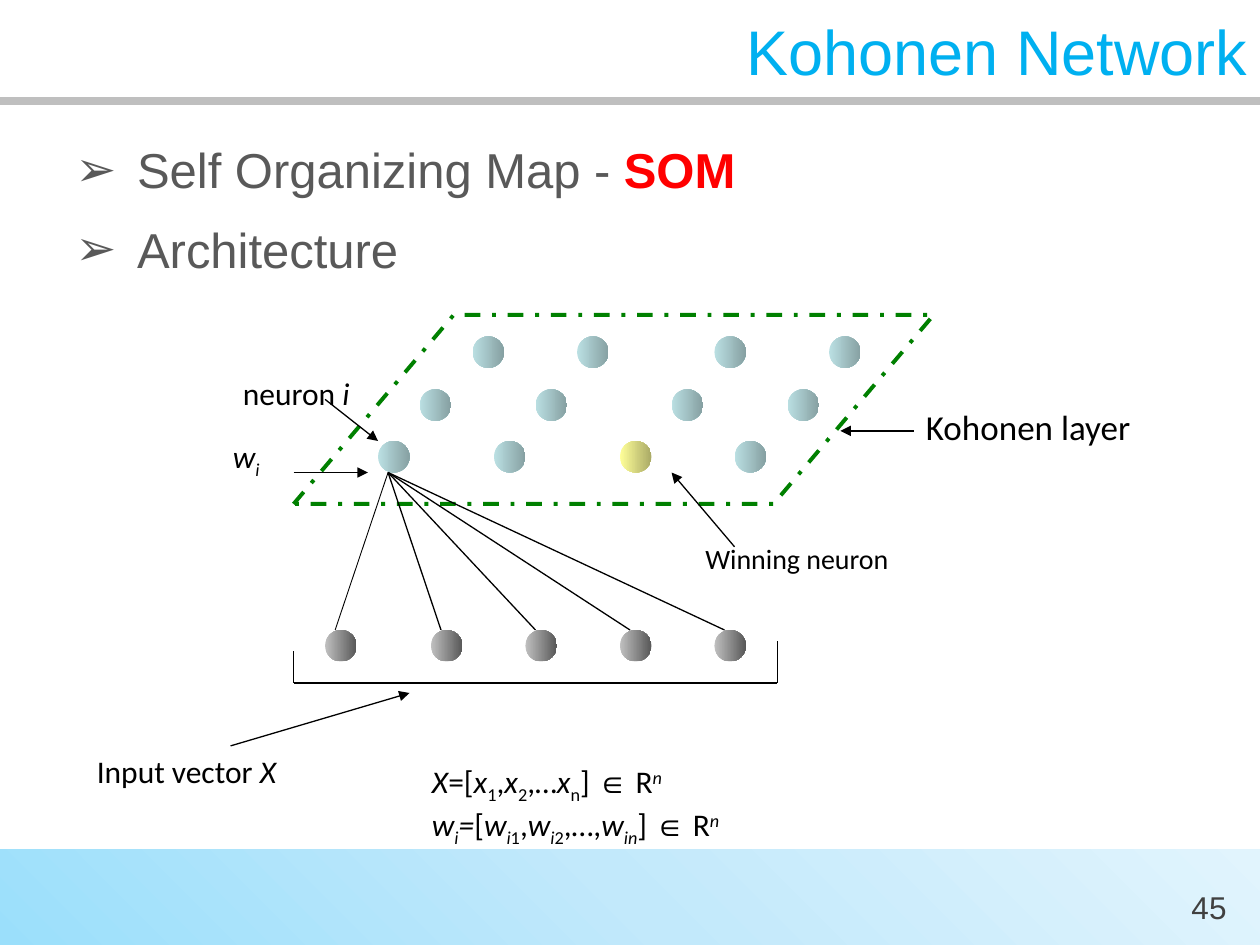
"""Build the Kohonen network architecture slide."""
from copy import deepcopy
from dataclasses import dataclass

from lxml.etree import SubElement
from pptx import Presentation
from pptx.dml.color import RGBColor
from pptx.enum.dml import MSO_LINE
from pptx.enum.shapes import MSO_CONNECTOR as Connector, MSO_SHAPE as Preset
from pptx.enum.text import MSO_ANCHOR as Anchor, PP_ALIGN as Align
from pptx.oxml.ns import qn
from pptx.util import Inches, Pt

BLACK = RGBColor(0x00, 0x00, 0x00)
TITLE_BLUE = RGBColor(0x00, 0xB0, 0xF0)
BODY_GRAY = RGBColor(0x59, 0x59, 0x59)
NUMBER_GRAY = RGBColor(0x40, 0x40, 0x40)
RULE_GRAY = RGBColor(0xBF, 0xBF, 0xBF)
RED = RGBColor(0xFF, 0x00, 0x00)
GREEN = RGBColor(0x00, 0x80, 0x00)
BAND = (RGBColor(0x9B, 0xDF, 0xFB), RGBColor(0xC2, 0xE9, 0xFB), RGBColor(0xE1, 0xF4, 0xFD))
INPUT = (RGBColor(0xC0, 0xC0, 0xC0), RGBColor(0x58, 0x58, 0x58))
NEURON = (RGBColor(0xBB, 0xE0, 0xE3), RGBColor(0x86, 0xA0, 0xA2))
WINNER = (RGBColor(0xFF, 0xFF, 0x99), RGBColor(0xAA, 0xAA, 0x66))
SUB, SUPER = -25000, 30000
DIAMETER = 0.25


@dataclass(frozen=True)
class Span:
    text: str
    italic: bool = False
    base: int = 0
    font: str = "Calibri"
    color: RGBColor = BLACK
    bold: bool = False


@dataclass(frozen=True)
class Label:
    left: float
    top: float
    width: float
    height: float
    size: int
    lines: tuple[tuple[Span, ...], ...]


@dataclass(frozen=True)
class Line:
    start: tuple[float, float]
    end: tuple[float, float]
    arrow: bool = False
    weight: float = 0.75
    color: RGBColor = BLACK


def fill_gradient(shape, colors: tuple[RGBColor, ...], angle: float) -> None:
    shape.fill.gradient()
    shape.fill.gradient_angle = angle
    stop_list = shape._element.spPr.find(qn("a:gradFill")).find(qn("a:gsLst"))
    while len(stop_list) < len(colors):
        stop_list.append(deepcopy(stop_list[0]))
    for index, (stop, color) in enumerate(zip(shape.fill.gradient_stops, colors)):
        stop.color.rgb = color
        stop.position = index / (len(colors) - 1)


def add_gradient_shape(page, preset, left: float, top: float, width: float, height: float,
                       colors: tuple[RGBColor, ...], angle: float = 0):
    shape = page.shapes.add_shape(preset, Inches(left), Inches(top), Inches(width), Inches(height))
    shape.shadow.inherit = False
    shape.line.fill.background()
    fill_gradient(shape, colors, angle)
    return shape


def add_ball(page, left: float, top: float, colors: tuple[RGBColor, ...]) -> None:
    add_gradient_shape(page, Preset.OVAL, left, top, DIAMETER, DIAMETER, colors)


def add_line(page, line: Line) -> None:
    connector = page.shapes.add_connector(Connector.STRAIGHT, *map(Inches, line.start + line.end))
    connector.line.color.rgb = line.color
    connector.line.width = Pt(line.weight)
    if line.arrow:
        SubElement(connector.line._get_or_add_ln(), qn("a:tailEnd"), type="triangle")
    SubElement(connector._element.spPr, qn("a:effectLst"))


def add_label(page, label: Label):
    box = page.shapes.add_textbox(*map(Inches, (label.left, label.top, label.width, label.height)))
    frame = box.text_frame
    frame.word_wrap = True
    for index, spans in enumerate(label.lines):
        para = frame.add_paragraph() if index else frame.paragraphs[0]
        for span in spans:
            run = para.add_run()
            run.text = span.text
            run.font.name = span.font
            run.font.size = Pt(label.size)
            run.font.italic = span.italic
            run.font.bold = span.bold
            run.font.color.rgb = span.color
            if span.base:
                run.font._element.set("baseline", str(span.base))
    return box


def add_bullets(box) -> None:
    indent = Inches(0.49)
    for para in box.text_frame.paragraphs:
        para.space_before = Pt(12)
        properties = para._p.get_or_add_pPr()
        properties.set("marL", str(indent))
        properties.set("indent", str(-indent))
        SubElement(properties, qn("a:buFont"), typeface="Arial")
        SubElement(properties, qn("a:buChar"), char="➢")


def set_title(page, text: str) -> None:
    title = page.shapes.title
    title.left, title.top, title.width, title.height = map(Inches, (0, 0, 10, 0.8))
    title.text_frame.text = text
    title.text_frame.vertical_anchor = Anchor.MIDDLE
    para = title.text_frame.paragraphs[0]
    para.alignment = Align.RIGHT
    font = para.runs[0].font
    font.name, font.size, font.color.rgb = "Arial", Pt(36), TITLE_BLUE


def draw_frame(page) -> None:
    add_gradient_shape(page, Preset.RECTANGLE, 0, 6.74, 10, 0.76, BAND, 45)
    add_line(page, Line((0, 0.8), (10, 0.8), weight=4.5, color=RULE_GRAY))
    number = add_label(page, Label(9.19, 6.89, 0.81, 0.61, 18,
                                   ((Span("45", font="Arial", color=NUMBER_GRAY),),)))
    number.text_frame.vertical_anchor = Anchor.MIDDLE
    number.text_frame.paragraphs[0].alignment = Align.CENTER
    set_title(page, "Kohonen Network")
    body = Label(0.5, 1.06, 9, 5.68, 28, (
        (Span("Self Organizing Map - ", font="Arial", color=BODY_GRAY),
         Span("SOM", font="Arial", color=RED, bold=True)),
        (Span("Architecture", font="Arial", color=BODY_GRAY),)))
    add_bullets(add_label(page, body))


def draw_network(page) -> None:
    layer = page.shapes.add_shape(Preset.PARALLELOGRAM, *map(Inches, (2.33, 2.5, 5.08, 1.5)))
    layer.adjustments[0] = 0.847
    layer.shadow.inherit = False
    layer.fill.background()
    layer.line.color.rgb = GREEN
    layer.line.width = Pt(2.25)
    layer.line.dash_style = MSO_LINE.DASH_DOT

    rows = {2.67: (3.75, 4.58, 5.67, 6.58),
            3.09: (3.33, 4.25, 5.33, 6.25),
            3.5: (3, 3.92, 4.92, 5.83)}
    winner = (4.92, 3.5)
    for top, lefts in rows.items():
        for left in lefts:
            add_ball(page, left, top, WINNER if (left, top) == winner else NEURON)

    for left in (2.58, 3.42, 4.17, 4.92, 5.67):
        add_ball(page, left, 5, INPUT)
        weight = 0.5 if left == 2.58 else 0.75
        add_line(page, Line((left + 0.08, 5), (3.08, 3.75), weight=weight))

    for line in (Line((2.33, 5.42), (6.17, 5.42)),
                 Line((2.33, 5.42), (2.33, 5.17)),
                 Line((6.17, 5.42), (6.17, 5.09)),
                 Line((5.83, 4.34), (5.33, 3.75), arrow=True),
                 Line((2.33, 3.75), (2.92, 3.75), arrow=True),
                 Line((2.58, 3.17), (3, 3.5), arrow=True),
                 Line((1.83, 5.92), (3.25, 5.5), arrow=True),
                 Line((7.25, 3.42), (6.67, 3.42), arrow=True)):
        add_line(page, line)


def draw_labels(page) -> None:
    x, w = Span("x", True), Span("w", True)
    sub_i = Span("i", True, SUB)
    one, two = Span("1", base=SUB), Span("2", base=SUB)
    in_space = (Span("] "), Span("∈", font="Arial"), Span(" R"), Span("n", True, SUPER))
    input_formula = (Span("X", True), Span("=["), x, one, Span(","), x, two, Span(",…"),
                     x, Span("n", base=SUB), *in_space)
    weight_formula = (w, sub_i, Span("=", True), Span("["), w, sub_i, one, Span(","),
                      w, sub_i, two, Span(",…,"), w, Span("in", True, SUB), *in_space)
    for label in (Label(5.5, 4.25, 2.58, 0.36, 16, ((Span("Winning neuron"),),)),
                  Label(1.75, 3.42, 1.08, 0.44, 18, ((w, sub_i),)),
                  Label(1.83, 2.92, 1.25, 0.4, 18, ((Span("neuron "), Span("i", True)),)),
                  Label(0.67, 5.92, 2.58, 0.4, 18, ((Span("Input vector"), Span(" X", True)),)),
                  Label(3.33, 6, 4, 0.9, 18, (input_formula, weight_formula)),
                  Label(7.25, 3.17, 2.08, 0.76, 20, ((Span("Kohonen layer"),),))):
        add_label(page, label)


def main() -> None:
    deck = Presentation()
    deck.slide_width, deck.slide_height = Inches(10), Inches(7.5)
    page = deck.slides.add_slide(deck.slide_layouts[5])
    draw_frame(page)
    draw_network(page)
    draw_labels(page)
    deck.save("out.pptx")


if __name__ == "__main__":
    main()
